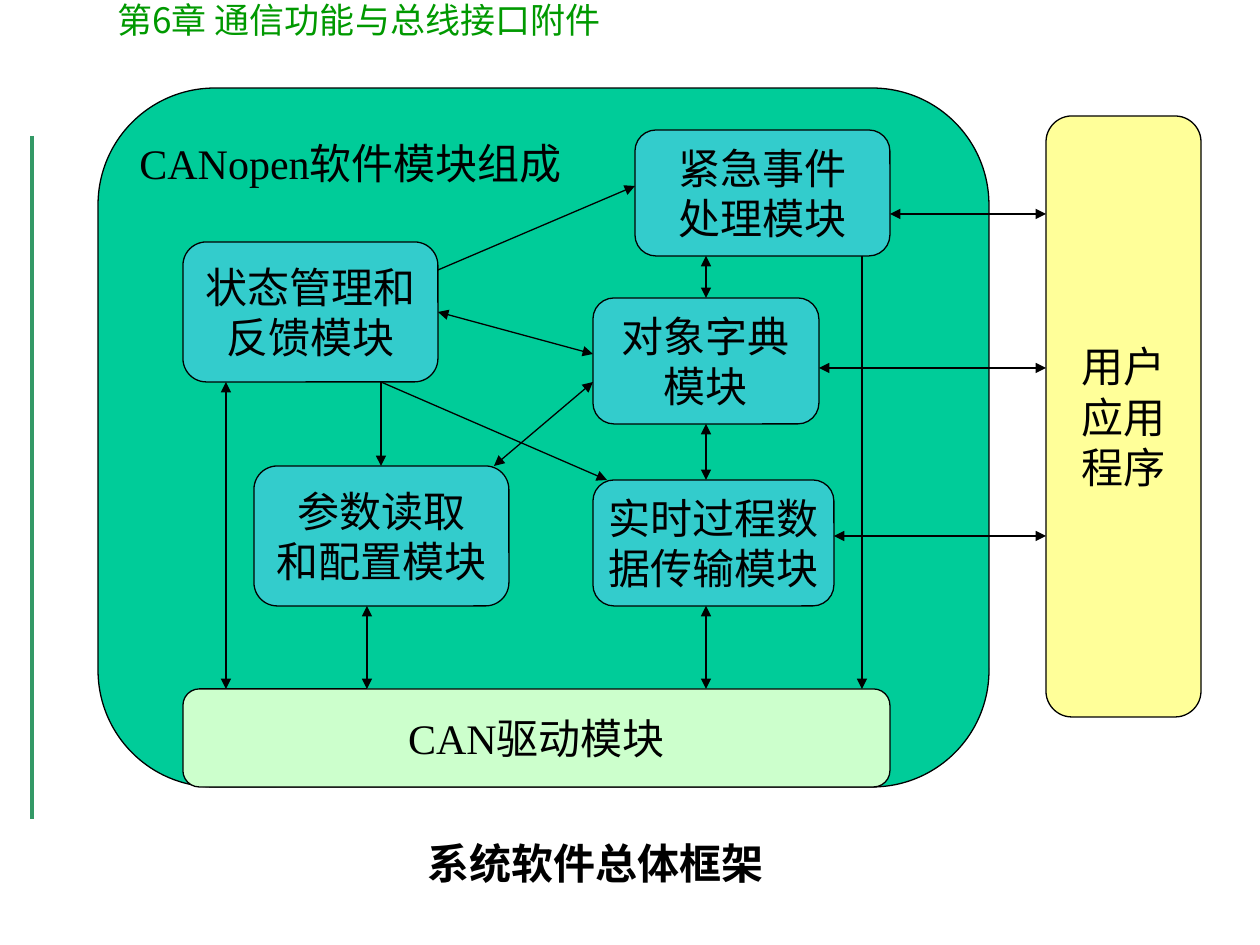
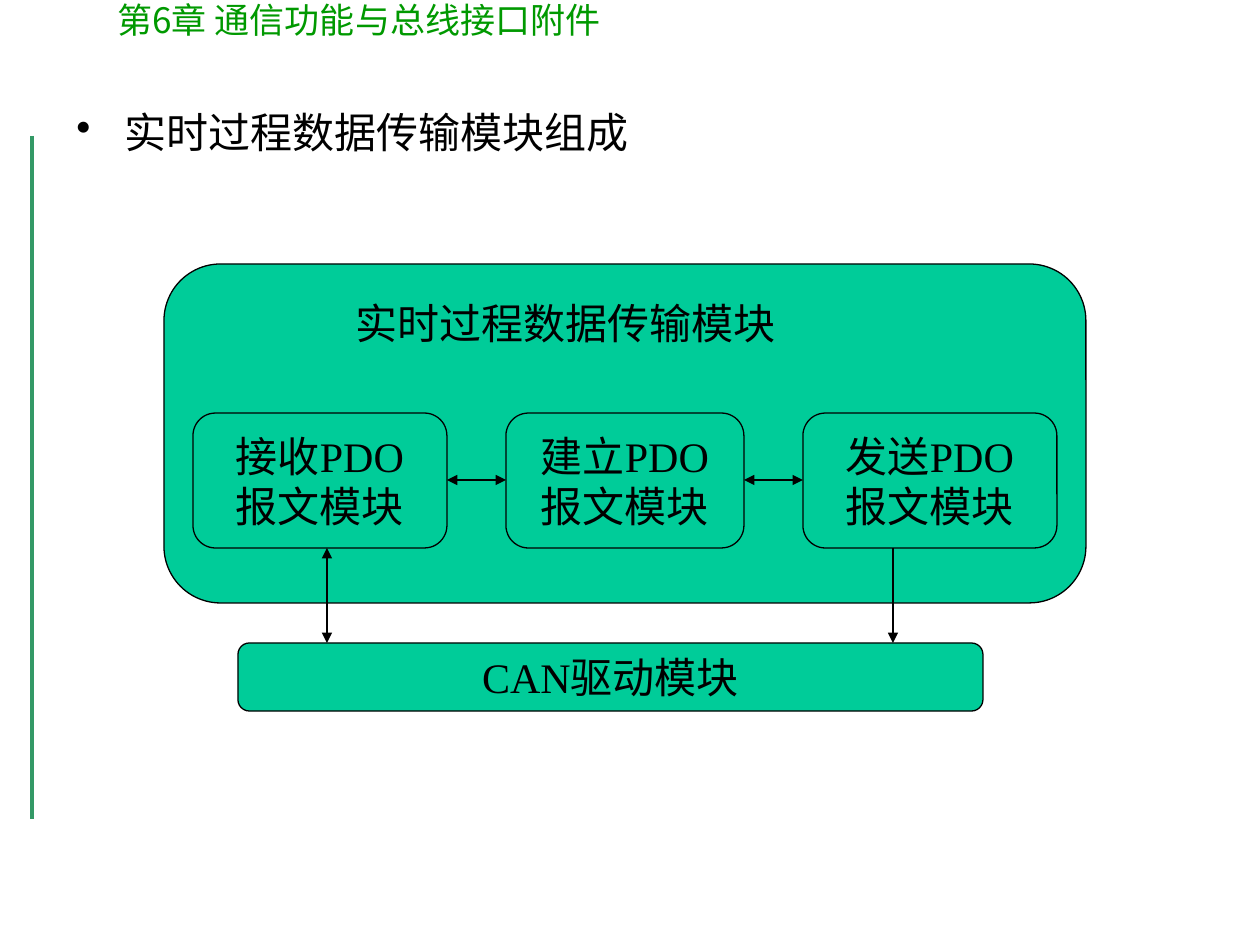
from pptx import Presentation
from pptx.dml.color import RGBColor
from pptx.enum.shapes import MSO_CONNECTOR, MSO_SHAPE
from pptx.enum.text import MSO_ANCHOR, PP_ALIGN
from pptx.oxml.ns import qn
from pptx.util import Emu, Pt
from lxml import etree

PX_PER_INCH = 126
LATIN, CJK = "Times New Roman", "Noto Sans CJK SC"
BLACK, RULE_GREEN, CHAPTER_GREEN = "000000", "339966", "009900"
PANEL, MODULE, DRIVER, APPLICATION = "00CC99", "33CCCC", "CCFFCC", "FFFF99"


def px(length):
    return Emu(round(length * 914400 / PX_PER_INCH))


def color(value):
    return RGBColor.from_string(value)


def write(shape, text, size=24, font=LATIN, fill=BLACK, bold=False,
          align=PP_ALIGN.LEFT, anchor=MSO_ANCHOR.TOP, wrap=True,
          spacing=None, bullet=None):
    """Fill a shape with one paragraph per line of text."""
    frame = shape.text_frame
    frame.word_wrap = wrap
    frame.vertical_anchor = anchor
    for index, line in enumerate(text.split("\n")):
        paragraph = frame.add_paragraph() if index else frame.paragraphs[0]
        paragraph.alignment = align
        if spacing:
            paragraph.line_spacing = spacing
        if bullet:
            properties = paragraph._p.get_or_add_pPr()
            properties.set("marL", str(px(48)))
            properties.set("indent", str(-px(48)))
            etree.SubElement(properties, qn("a:buChar"), char=bullet)
        run = paragraph.add_run()
        run.text = line
        run.font.name = font
        run.font.size = Pt(size)
        run.font.bold = bold
        run.font.color.rgb = color(fill)
        etree.SubElement(run._r.get_or_add_rPr(), qn("a:ea"), typeface=CJK)


def add_text(slide, left, top, width, height, text, **style):
    box = slide.shapes.add_textbox(px(left), px(top), px(width), px(height))
    write(box, text, **style)


def add_line(slide, start, end, stroke=BLACK, weight=0.75, heads=()):
    line = slide.shapes.add_connector(
        MSO_CONNECTOR.STRAIGHT, *(px(value) for value in (*start, *end)))
    line.line.color.rgb = color(stroke)
    line.line.width = Pt(weight)
    for head in heads:
        etree.SubElement(line.line._get_or_add_ln(), qn(f"a:{head}"), type="triangle")
    etree.SubElement(line._element.spPr, qn("a:effectLst"))


class Diagram:
    """Places blocks, labels and arrows relative to a corner on a slide."""

    def __init__(self, slide, left, top):
        self.slide, self.left, self.top = slide, left, top

    def block(self, left, top, width, height, fill, text=None):
        shape = self.slide.shapes.add_shape(
            MSO_SHAPE.ROUNDED_RECTANGLE, px(self.left + left), px(self.top + top),
            px(width), px(height))
        shape.shadow.inherit = False
        shape.adjustments[0] = 0.167
        shape.fill.solid()
        shape.fill.fore_color.rgb = color(fill)
        shape.line.color.rgb = color(BLACK)
        shape.line.width = Pt(0.75)
        if text:
            write(shape, text, align=PP_ALIGN.CENTER, anchor=MSO_ANCHOR.MIDDLE, wrap=False)

    def label(self, left, top, width, height, text):
        add_text(self.slide, self.left + left, self.top + top, width, height, text)

    def arrow(self, x1, y1, x2, y2, both=True):
        heads = ("headEnd", "tailEnd") if both else ("tailEnd",)
        add_line(self.slide, (self.left + x1, self.top + y1),
                 (self.left + x2, self.top + y2), heads=heads)


def add_chapter_slide(deck):
    """Blank slide with the chapter heading and the side rule."""
    slide = deck.slides.add_slide(deck.slide_layouts[6])
    add_line(slide, (32, 136), (32, 819), stroke=RULE_GREEN, weight=2.25)
    add_text(slide, 105, -8, 725, 55, "第6章 通信功能与总线接口附件",
             size=20, font=CJK, fill=CHAPTER_GREEN)
    return slide


def draw_framework(slide, left, top):
    diagram = Diagram(slide, left, top)
    diagram.block(0, 0, 891, 699, PANEL)
    diagram.block(85, 601, 707, 98, DRIVER, "CAN驱动模块")

    # Software modules
    for x, y, width, height, name in (
        (85, 154, 255, 140, "状态管理和\n反馈模块"),
        (495, 392, 241, 126, "实时过程数\n据传输模块"),
        (156, 378, 255, 140, "参数读取\n和配置模块"),
        (537, 42, 255, 126, "紧急事件\n处理模块"),
        (495, 210, 226, 126, "对象字典\n模块"),
    ):
        diagram.block(x, y, width, height, MODULE, name)
    diagram.label(29, 43, 650, 63, "CANopen软件模块组成")

    # User application and its links
    diagram.block(948, 28, 155, 601, APPLICATION, "用户\n应用\n程序")
    for module_edge, y in ((792, 126), (721, 280), (736, 448)):
        diagram.arrow(module_edge, y, 948, y)

    # Two-way links between modules and down to the driver
    for ends in (
        (340, 224, 495, 266), (396, 378, 495, 294),
        (608, 168, 608, 210), (608, 336, 608, 392), (608, 518, 608, 601),
        (269, 601, 269, 518), (128, 294, 128, 601), (792, 126, 792, 126),
    ):
        diagram.arrow(*ends)

    # One-way links
    for ends in (
        (340, 182, 537, 98), (283, 294, 283, 378), (283, 294, 509, 392),
        (764, 168, 764, 601), (85, 224, 85, 224),
    ):
        diagram.arrow(*ends, both=False)


def draw_transfer_module(slide, left, top):
    diagram = Diagram(slide, left, top)
    diagram.block(0, 0, 922, 339, PANEL)
    diagram.label(179, 27, 665, 63, "实时过程数据传输模块")
    diagram.block(74, 379, 745, 68, PANEL, "CAN驱动模块")

    # PDO steps in a row, joined across equal gaps
    x, gap = 29, 59
    for index, (action, width) in enumerate((("接收", 254), ("建立", 238), ("发送", 254))):
        diagram.block(x, 149, width, 135, PANEL, f"{action}PDO\n报文模块")
        if index:
            diagram.arrow(x - gap, 216, x, 216)
        x += width + gap

    # Links to the driver
    diagram.arrow(163, 284, 163, 379)
    diagram.arrow(729, 284, 729, 379, both=False)


def main():
    deck = Presentation()
    deck.slide_width, deck.slide_height = px(1260), px(945)

    framework = add_chapter_slide(deck)
    add_text(framework, 0, 816, 1191, 79, "系统软件总体框架", font=CJK,
             bold=True, align=PP_ALIGN.CENTER, spacing=1.3)
    draw_framework(framework, 98, 88)

    transfer = add_chapter_slide(deck)
    add_text(transfer, 64, 106, 1134, 73, "实时过程数据传输模块组成",
             spacing=0.9, bullet="•")
    draw_transfer_module(transfer, 164, 264)

    deck.save("out.pptx")


if __name__ == "__main__":
    main()
